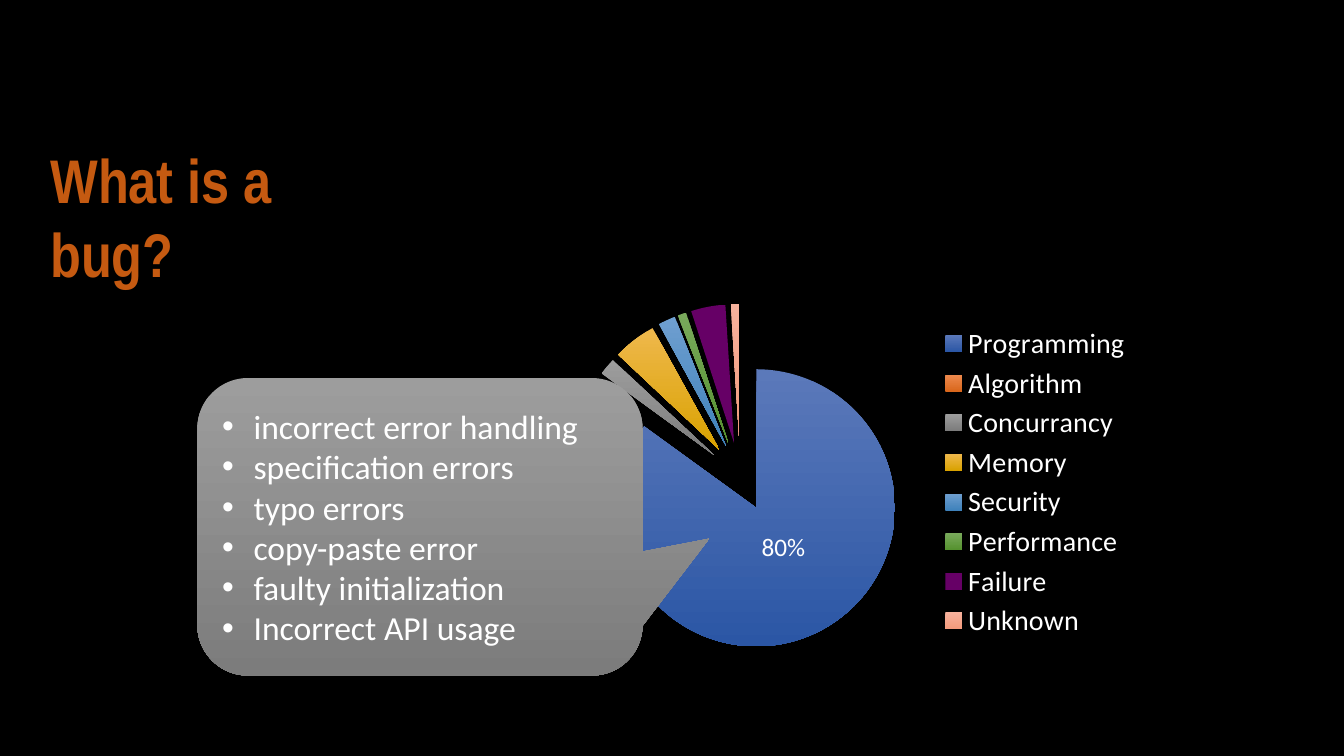
"""Builds a dark slide on software bugs with an exploded pie and a callout list."""
from lxml import etree
from pptx import Presentation
from pptx import util as u
from pptx.chart.data import CategoryChartData
from pptx.dml.color import RGBColor
from pptx.enum import chart as charts, shapes, text
from pptx.oxml import parse_xml
from pptx.oxml.ns import nsdecls, qn

CAUSES = [
    ("Programming", 85, "5B79BA", "2B56A5"),
    ("Algorithm", 0, "EE8A4E", "D9671C"),
    ("Concurrancy", 2, "9D9D9D", "7C7C7C"),
    ("Memory", 5, "EFB84C", "D9A200"),
    ("Security", 2, "6F9FD0", "3F82BB"),
    ("Performance", 1, "79A95B", "55922F"),
    ("Failure", 4, "660066", "660066"),
    ("Unknown", 1, "F7B29D", "F39A7C"),
]
PROGRAMMING_ERRORS = [
    "incorrect error handling", "specification errors", "typo errors",
    "copy-paste error", "faulty initialization", "Incorrect API usage",
]


def colour(hex_code):
    return RGBColor.from_string(hex_code)


class BugSlide:
    WHITE = "FFFFFF"
    FONT = "Calibri"

    def __init__(self, prs):
        self.slide = prs.slides.add_slide(prs.slide_layouts[5])
        self.paint(self.slide.background.fill, "000000")

    def apply(self, target, values):
        for name, value in values.items():
            setattr(target, name, value)

    def paint(self, fill, hex_code):
        fill.solid()
        fill.fore_color.rgb = colour(hex_code)

    def shade(self, fill, top, bottom):
        fill.gradient()
        fill.gradient_angle = 270
        for stop, hex_code in zip(fill.gradient_stops, (top, bottom)):
            stop.color.rgb = colour(hex_code)

    def style(self, font, size, hex_code=WHITE, name=FONT, bold=False):
        self.apply(font, {"size": u.Pt(size), "name": name, "bold": bold})
        font.color.rgb = colour(hex_code)

    def title(self, wording, box):
        heading = self.slide.shapes.title
        self.apply(heading, dict(zip(("left", "top", "width", "height"), map(u.Pt, box))))
        frame = heading.text_frame
        frame.text = wording
        self.apply(frame, {
            "margin_left": 0, "margin_right": 0, "margin_top": u.Pt(1.5), "margin_bottom": 0,
            "word_wrap": True, "vertical_anchor": text.MSO_ANCHOR.MIDDLE,
            "auto_size": text.MSO_AUTO_SIZE.SHAPE_TO_FIT_TEXT,
        })
        frame.paragraphs[0].alignment = text.PP_ALIGN.LEFT
        self.style(frame.paragraphs[0].font, 44, "C55A11", "Arial Narrow", True)

    def layout(self, parent, **fractions):
        for old in parent.findall(qn("c:layout")):
            parent.remove(old)
        layout = parse_xml(f'<c:layout {nsdecls("c")}><c:manualLayout/></c:layout>')
        for tag, value in fractions.items():
            etree.SubElement(layout[0], qn(f"c:{tag}")).set("val", str(value))
        return layout

    def pie(self, causes, box):
        data = CategoryChartData()
        data.categories = [cause[0] for cause in causes]
        data.add_series("Series 1", [cause[1] for cause in causes])
        chart = self.slide.shapes.add_chart(
            charts.XL_CHART_TYPE.PIE, *map(u.Pt, box), data).chart
        self.apply(chart, {"has_title": False, "has_legend": True})
        self.style(chart.font, 10)
        self.apply(chart.legend, {
            "position": charts.XL_LEGEND_POSITION.RIGHT, "include_in_layout": False})
        self.style(chart.legend.font, 20)
        chart.plots[0].vary_by_categories = True
        series = chart.plots[0].series[0]
        for index, (_, _, top, bottom) in enumerate(causes):
            self.shade(series.points[index].format.fill, top, bottom)
        series_xml = chart.plots[0].series[0]._element
        series_xml.find(qn("c:tx")).addnext(
            parse_xml(f'<c:explosion {nsdecls("c")} val="25"/>'))
        plot_area = chart._chartSpace.chart.plotArea
        plot_area.insert(0, self.layout(
            plot_area, layoutTarget="inner", xMode="edge", yMode="edge",
            x=0.025, y=0, w=0.784, h=1))
        legend = chart.legend._element
        placement = self.layout(
            legend, xMode="edge", yMode="edge", x=0.65, y=0.05, w=0.25, h=0.93)
        legend.find(qn("c:legendPos")).addnext(placement)

    def callout(self, items, box, tip):
        bubble = self.slide.shapes.add_shape(
            shapes.MSO_SHAPE.ROUNDED_RECTANGULAR_CALLOUT, *map(u.Pt, box))
        bubble.shadow.inherit = False
        for index, value in enumerate(tip):
            bubble.adjustments[index] = value
        self.shade(bubble.fill, "9D9D9D", "7C7C7C")
        bubble.line.fill.background()
        frame = bubble.text_frame
        self.apply(frame, {"word_wrap": True, "vertical_anchor": text.MSO_ANCHOR.MIDDLE})
        frame.text = "\n".join(items)
        for item in frame.paragraphs:
            item.alignment = text.PP_ALIGN.LEFT
            props = item._p.get_or_add_pPr()
            self.apply_indent(props, 22.5)
            etree.SubElement(props, qn("a:buFont")).set("typeface", "Arial")
            etree.SubElement(props, qn("a:buChar")).set("char", "•")
            self.style(item.font, 24)

    def apply_indent(self, props, hanging):
        props.set("marL", str(u.Pt(hanging)))
        props.set("indent", str(-u.Pt(hanging)))

    def label(self, wording, box):
        frame = self.slide.shapes.add_textbox(*map(u.Pt, box)).text_frame
        frame.text = wording
        self.apply(frame, {
            "word_wrap": False, "auto_size": text.MSO_AUTO_SIZE.SHAPE_TO_FIT_TEXT})
        self.style(frame.paragraphs[0].font, 18)


def main():
    prs = Presentation()
    prs.slide_width, prs.slide_height = u.Pt(960), u.Pt(540)
    bugs = BugSlide(prs)
    bugs.title("What is a bug?", (36, 126, 231, 55))
    bugs.pie(CAUSES, (284, 217, 587.5, 247.5))
    bugs.callout(PROGRAMMING_ERRORS, (141, 270, 318, 212.5), (0.65, 0.04, 0.17))
    bugs.label("80%", (537, 376, 46, 29))
    prs.save("out.pptx")


if __name__ == "__main__":
    main()
